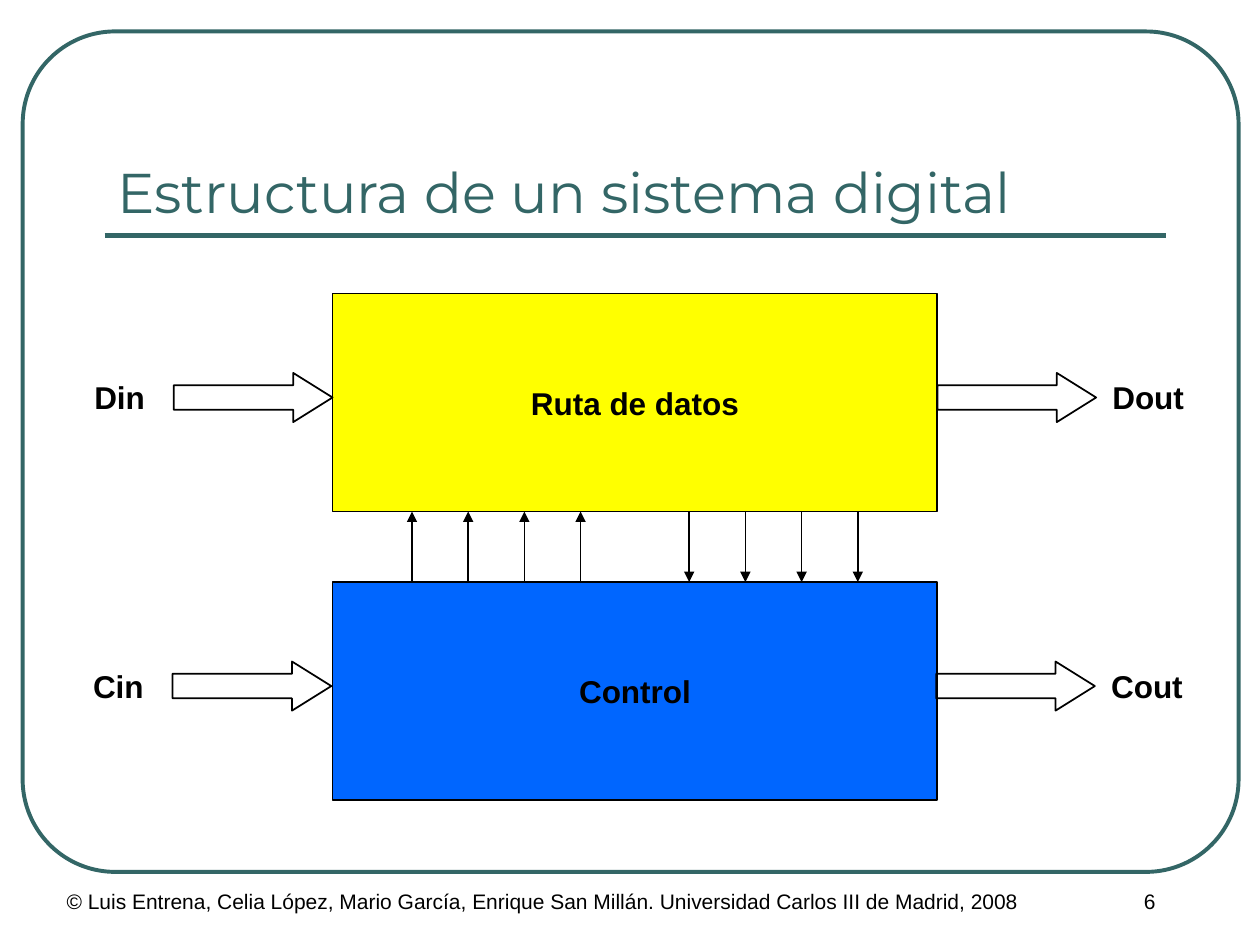
from lxml.etree import SubElement
from pptx import Presentation
from pptx.dml.color import RGBColor
from pptx.enum.shapes import MSO_CONNECTOR, MSO_SHAPE
from pptx.enum.text import MSO_ANCHOR, MSO_AUTO_SIZE, PP_ALIGN
from pptx.oxml.ns import qn
from pptx.util import Inches, Pt

TEAL = RGBColor(0x33, 0x66, 0x66)
BLACK = RGBColor(0x00, 0x00, 0x00)
YELLOW = RGBColor(0xFF, 0xFF, 0x00)
BLUE = RGBColor(0x00, 0x66, 0xFF)

prs = Presentation()
prs.slide_width, prs.slide_height = Inches(10), Inches(7.5)
# Grid of 100 columns by 75 rows
COL, ROW = prs.slide_width // 100, prs.slide_height // 75
s = prs.slides.add_slide(prs.slide_layouts[5])


def write(sp, text, size, color=BLACK, font="Arial", bold=False,
          align=PP_ALIGN.LEFT, anchor=MSO_ANCHOR.TOP, wrap=True):
    tf = sp.text_frame
    frame = {"auto_size": MSO_AUTO_SIZE.NONE, "word_wrap": wrap,
             "vertical_anchor": anchor}
    for name, value in frame.items():
        setattr(tf, name, value)
    p = tf.paragraphs[0]
    p.alignment = align
    r = p.add_run()
    r.text = text
    for name, value in {"size": Pt(size), "name": font, "bold": bold}.items():
        setattr(r.font, name, value)
    r.font.color.rgb = color


def draw(box, shape=None, line=BLACK, width=1, fill=None, arrow=False):
    """Draw a preset shape in box, or without one a line between two points."""
    a, b, c, d = (round(v * unit) for v, unit in zip(box, (COL, ROW) * 2))
    if shape is None:
        sp = s.shapes.add_connector(MSO_CONNECTOR.STRAIGHT, a, b, c, d)
    else:
        sp = s.shapes.add_shape(shape, a, b, c, d)
        if fill is None:
            sp.fill.background()
        else:
            sp.fill.solid()
            sp.fill.fore_color.rgb = fill
    sp.line.color.rgb = line
    sp.line.width = Pt(width)
    if arrow:
        ln = sp._element.spPr.find(qn("a:ln"))
        SubElement(ln, qn("a:tailEnd"), type="triangle")
    SubElement(sp._element.spPr, qn("a:effectLst"))
    return sp


# Frame, rule and title
frame = draw((1.8, 2.5, 96.5, 66.7), MSO_SHAPE.ROUNDED_RECTANGLE, TEAL, 2.25)
frame.adjustments[0] = 0.11
draw((8.3, 18.7, 92.5, 18.7), line=TEAL, width=3)

title = s.shapes.title
place = {"left": 8.3 * COL, "top": 5.8 * ROW,
         "width": 84.2 * COL, "height": 12.5 * ROW}
for name, value in place.items():
    setattr(title, name, round(value))
write(title, "Estructura de un sistema digital", 32, TEAL, "Montserrat",
      anchor=MSO_ANCHOR.BOTTOM)

# Blocks with their inputs and outputs
LEFT, WIDTH, HEIGHT = 26.4, 48, 17.3
DATA_TOP, CONTROL_TOP = 23.3, 46.2
blocks = [
    ("Ruta de datos", DATA_TOP, YELLOW, "Din", "Dout", 0),
    ("Control", CONTROL_TOP, BLUE, "Cin", "Cout", -0.1),
]
for name, top, fill, source, target, shift in blocks:
    block = draw((LEFT, top, WIDTH, HEIGHT), MSO_SHAPE.RECTANGLE, fill=fill)
    write(block, name, 18, bold=True, align=PP_ALIGN.CENTER,
          anchor=MSO_ANCHOR.MIDDLE, wrap=False)
    ports = [(source, 6.5, 6, LEFT - 12.6), (target, 87.3, 7.7, LEFT + WIDTH)]
    for label, label_left, label_width, arrow_left in ports:
        arrow = draw((arrow_left + shift, top + 6.3, 12.6, 3.9),
                     MSO_SHAPE.RIGHT_ARROW)
        arrow.adjustments[1] = 0.8
        tb = s.shapes.add_textbox(
            round((label_left + shift) * COL), round((top + 6.25) * ROW),
            round(label_width * COL), 4 * ROW)
        write(tb, label, 18, bold=True, wrap=False)

# Signals: four up to the data path, four down to the control
data_bottom = DATA_TOP + HEIGHT
for first, start, end in [(32.7, CONTROL_TOP, data_bottom),
                          (54.7, data_bottom, CONTROL_TOP)]:
    for i in range(4):
        x = first + i * 4.46
        draw((x, start, x, end), arrow=True)

# Footer
footer = [
    ("© Luis Entrena, Celia López, Mario García, Enrique San Millán. "
     "Universidad Carlos III de Madrid, 2008", 4.3, 78.2, PP_ALIGN.LEFT),
    ("6", 82.5, 17.5, PP_ALIGN.CENTER),
]
for text, left, width, align in footer:
    tb = s.shapes.add_textbox(round(left * COL), 70 * ROW,
                              round(width * COL), 5 * ROW)
    write(tb, text, 12, align=align)

prs.save("out.pptx")
